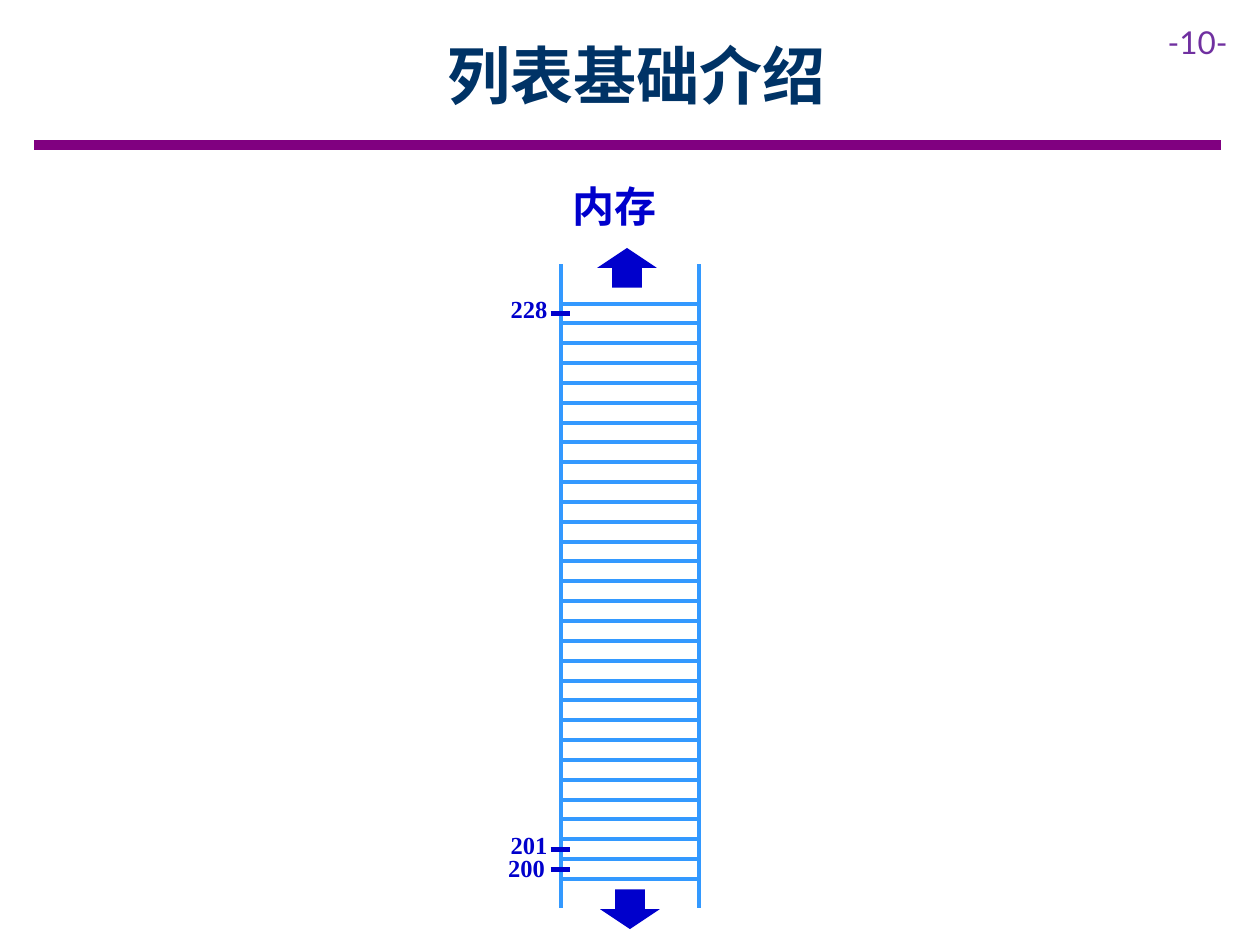
import pptx
import pptx.util
import pptx.dml.color
import pptx.enum.shapes
import pptx.enum.text
import pptx.oxml.ns
import lxml.etree

Cm, Pt = pptx.util.Cm, pptx.util.Pt
SHAPE = pptx.enum.shapes.MSO_SHAPE
ALIGN = pptx.enum.text.PP_ALIGN
BLUE, LIGHT_BLUE = "0000CC", "3399FF"


def paint(color_format, value):
    """Set a fill, line or font colour from a hex string."""
    if hasattr(color_format, "solid"):
        color_format.solid()
        color_format = color_format.fore_color
    color_format.rgb = pptx.dml.color.RGBColor.from_string(value)


prs = pptx.Presentation()
prs.slide_width, prs.slide_height = Cm(25.4), Cm(19.05)
s = prs.slides.add_slide(prs.slide_layouts[6])

# Memory cells for addresses 200 to 228, counted from the bottom up
first, last = 200, 228
left, width, pitch, top = 11.3, 2.8, 0.4, 6.12
right = left + width
for i in range(last - first + 1):
    sp = s.shapes.add_shape(SHAPE.RECTANGLE, Cm(left), Cm(top + i * pitch),
                            Cm(width), Cm(pitch))
    sp.shadow.inherit = False
    sp.fill.background()
    paint(sp.line.color, LIGHT_BLUE)
    sp.line.width = Pt(2.25)

# Title rule, memory walls and address ticks: x1, y1, x2, y2, colour, width
lines = [(0.69, 2.92, 24.61, 2.92, "800080", 6)]
lines += [(x, 5.33, x, 18.31, LIGHT_BLUE, 2.25) for x in (left, right)]
for address in (200, 201, 228):
    y = top + (last - address + 0.5) * pitch
    lines.append((11.1, y, 11.5, y, BLUE, 2.75))
for x1, y1, x2, y2, color, weight in lines:
    sp = s.shapes.add_connector(pptx.enum.shapes.MSO_CONNECTOR.STRAIGHT,
                                Cm(x1), Cm(y1), Cm(x2), Cm(y2))
    paint(sp.line.color, color)
    sp.line.width = Pt(weight)
    lxml.etree.SubElement(sp.element.spPr, pptx.oxml.ns.qn("a:effectLst"))

# Arrows showing that memory continues both ways
for kind, x, y in ((SHAPE.UP_ARROW, 12.04, 5), (SHAPE.DOWN_ARROW, 12.1, 17.93)):
    sp = s.shapes.add_shape(kind, Cm(x), Cm(y), Cm(1.2), Cm(0.8))
    sp.shadow.inherit = False
    paint(sp.fill, BLUE)
    sp.line.fill.background()

# Texts: wording, left, top, width, height, font, size, colour, bold, alignment
CJK, SERIF = "Noto Sans CJK SC", "Times New Roman"
texts = [
    ("列表基础介绍", 2.29, 0.23, 21.1, 2.54, CJK, 36, "003366", True, ALIGN.CENTER),
    ("-10-", 23.54, 0.33, 1.6, 1.02, "Lato", 18, "7030A0", False, ALIGN.LEFT),
    ("内存", 10.86, 3.53, 3.05, 1.24, CJK, 24, BLUE, True, ALIGN.CENTER),
    ("200", 9.98, 17.2, 1.27, 0.6, SERIF, 14, BLUE, True, ALIGN.CENTER),
    ("201", 10.03, 16.72, 1.27, 0.6, SERIF, 14, BLUE, True, ALIGN.CENTER),
    ("228", 10.03, 5.92, 1.27, 0.6, SERIF, 14, BLUE, True, ALIGN.CENTER),
]
for text, x, y, w, h, font, size, color, bold, align in texts:
    tf = s.shapes.add_textbox(Cm(x), Cm(y), Cm(w), Cm(h)).text_frame
    tf.word_wrap = True
    tf.margin_left = tf.margin_right = tf.margin_top = tf.margin_bottom = 0
    tf.vertical_anchor = pptx.enum.text.MSO_ANCHOR.MIDDLE
    tf.text = text
    p = tf.paragraphs[0]
    p.alignment = align
    r = p.runs[0]
    r.font.size, r.font.bold, r.font.name = Pt(size), bold, font
    paint(r.font.color, color)
    # East Asian characters take their typeface from a:ea
    ea = lxml.etree.SubElement(r.font._element, pptx.oxml.ns.qn("a:ea"))
    ea.set("typeface", font)

prs.save("out.pptx")
